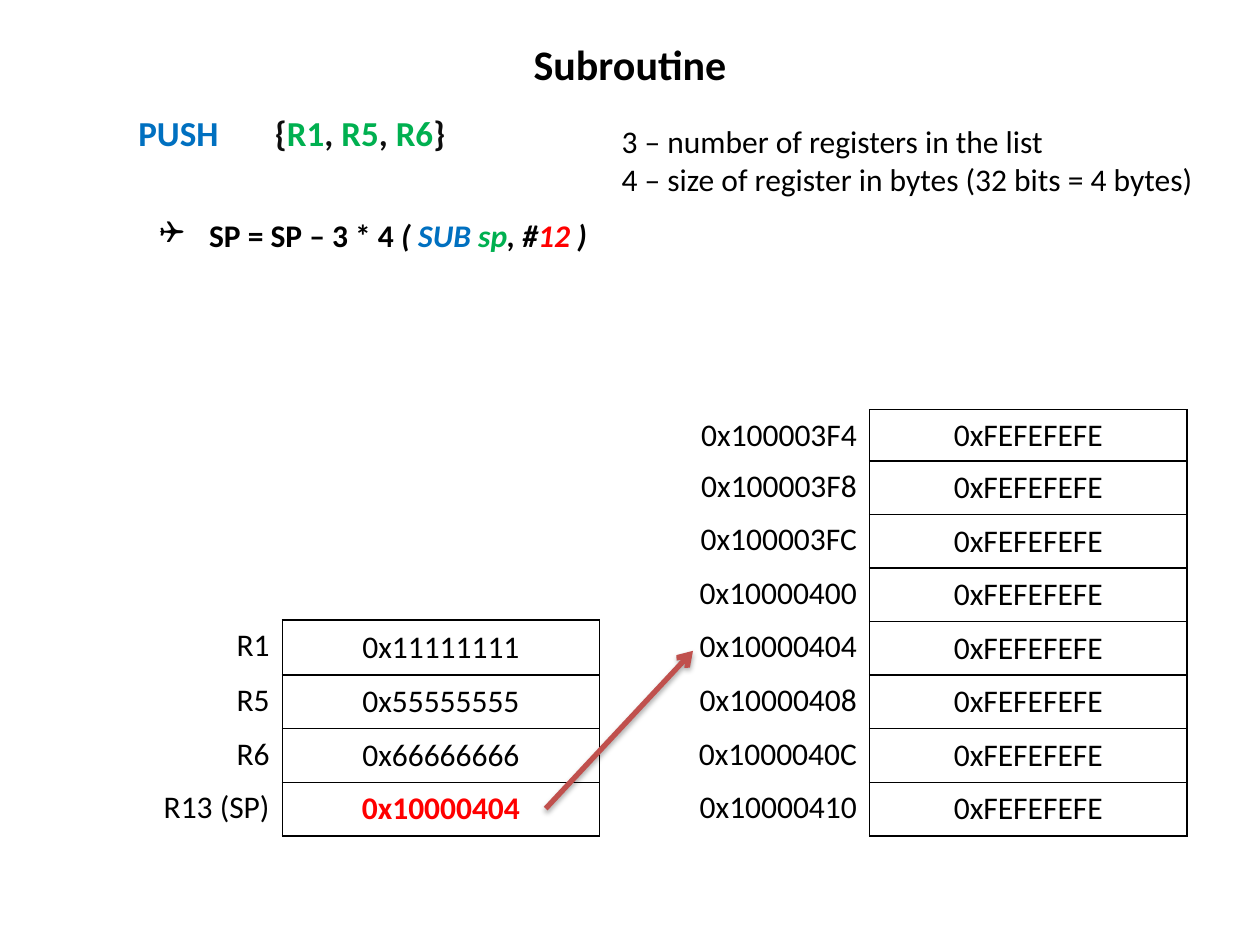
from lxml import etree
from pptx import Presentation
from pptx.dml.color import RGBColor
from pptx.enum import shapes, text
from pptx.oxml import parse_xml
from pptx.oxml.ns import nsdecls, qn
from pptx.util import Cm, Pt

COLORS = {"black": "000000", "ink": "0D0D0D", "blue": "0070C0",
          "green": "00B050", "red": "FF0000", "arrow": "C0504D"}
FONT = "Calibri"

TITLE = [[("Subroutine", "black", "b")]]
INSTRUCTION = [[("PUSH\t", "blue", "b"), ("{", "ink", "b"), ("R1", "green", "b"),
                (", ", "ink", "b"), ("R5", "green", "b"), (", ", "ink", "b"),
                ("R6", "green", "b"), ("}", "ink", "b")]]
STEPS = [[("SP = SP – 3 * 4 ", "black", "b"), ("( ", "black", "bi"),
          ("SUB ", "blue", "bi"), ("sp", "green", "bi"), (", #", "black", "bi"),
          ("12", "red", "bi"), (" )", "black", "bi")]]
NOTES = [[("3 – number of registers in the list", "black", "")],
         [("4 – size of register in bytes (32 bits = 4 bytes)", "black", "")]]
REGISTERS = [("R1", "0x11111111"), ("R5", "0x55555555"),
             ("R6", "0x66666666"), ("R13 (SP)", "0x10000404")]
ADDRESSES = ["0x100003F4", "0x100003F8", "0x100003FC", "0x10000400",
             "0x10000404", "0x10000408", "0x1000040C", "0x10000410"]
MEMORY = [(address, "0xFEFEFEFE") for address in ADDRESSES]

LABEL_WIDTH, VALUE_WIDTH, ROW_HEIGHT = 4, 6.4, 1.08
TABLES_BOTTOM = 16.85


def rgb(name):
    return RGBColor.from_string(COLORS[name])


def write(frame, paragraphs, size=18, align=text.PP_ALIGN.LEFT, bullet=None,
          indent=1, tab=None):
    for number, runs in enumerate(paragraphs):
        line = frame.add_paragraph() if number else frame.paragraphs[0]
        properties = line._p.get_or_add_pPr()
        if bullet:
            properties.set("marL", str(Cm(indent)))
            properties.set("indent", str(-Cm(indent)))
            etree.SubElement(properties, qn("a:buFont"), typeface="Wingdings")
            etree.SubElement(properties, qn("a:buChar"), char=bullet)
        if tab:
            stops = etree.SubElement(properties, qn("a:tabLst"))
            etree.SubElement(stops, qn("a:tab"), pos=str(Cm(tab)), algn="l")
        line.alignment = align
        line.space_before = Pt(0)
        for words, color, style in runs:
            run = line.add_run()
            run.text = words
            run.font.name, run.font.size = FONT, Pt(size)
            run.font.bold, run.font.italic = "b" in style, "i" in style
            run.font.color.rgb = rgb(color)


def place(shape, left, top, width, height, wrap=True):
    shape.left, shape.top = Cm(left), Cm(top)
    shape.width, shape.height = Cm(width), Cm(height)
    shape.text_frame.word_wrap = wrap
    shape.text_frame.auto_size = text.MSO_AUTO_SIZE.NONE
    return shape.text_frame


def border(cell, sides):
    for side in sides:
        cell._tc.get_or_add_tcPr().append(parse_xml(
            f'<a:ln{side} {nsdecls("a")} w="12700"><a:solidFill>'
            f'<a:srgbClr val="{COLORS["black"]}"/></a:solidFill></a:ln{side}>'))


def add_cells(slide, rows, left, first_height, highlight=None):
    height = first_height + ROW_HEIGHT * (len(rows) - 1)
    table = slide.shapes.add_table(
        len(rows), 2, Cm(left), Cm(TABLES_BOTTOM - height),
        Cm(LABEL_WIDTH + VALUE_WIDTH), Cm(height)).table
    table.first_row = table.horz_banding = False
    table.columns[0].width, table.columns[1].width = Cm(LABEL_WIDTH), Cm(VALUE_WIDTH)
    for number, (label, value) in enumerate(rows):
        table.rows[number].height = Cm(ROW_HEIGHT if number else first_height)
        label_cell, value_cell = table.cell(number, 0), table.cell(number, 1)
        border(label_cell, "R")
        border(value_cell, "LRTB")
        label_cell.fill.background()
        value_cell.fill.background()
        value_cell.vertical_anchor = text.MSO_ANCHOR.MIDDLE
        look = ("red", "b") if label == highlight else ("black", "")
        write(label_cell.text_frame, [[(label, "black", "")]], align=text.PP_ALIGN.RIGHT)
        write(value_cell.text_frame, [[(value, *look)]], align=text.PP_ALIGN.CENTER)


def add_pointer(slide, start, end):
    pointer = slide.shapes.add_connector(
        shapes.MSO_CONNECTOR.STRAIGHT, *map(Cm, start + end))
    pointer.line.color.rgb = rgb("arrow")
    pointer.line.width = Pt(3)
    etree.SubElement(pointer.line._get_or_add_ln(), qn("a:tailEnd"), type="arrow")
    pointer._element.spPr.append(parse_xml(
        f'<a:effectLst {nsdecls("a")}><a:outerShdw blurRad="{Pt(3.1)}" '
        f'dist="{Pt(1.8)}" dir="5400000" rotWithShape="0">'
        f'<a:srgbClr val="{COLORS["black"]}"><a:alpha val="35000"/></a:srgbClr>'
        '</a:outerShdw></a:effectLst>'))


def main():
    deck = Presentation()
    deck.slide_width, deck.slide_height = Cm(25.4), Cm(19.05)
    slide = deck.slides.add_slide(deck.slide_layouts[1])
    title, steps = slide.placeholders
    instruction = slide.shapes.add_textbox(0, 0, 0, 0)
    notes = slide.shapes.add_textbox(0, 0, 0, 0)

    write(place(title, 0, 0.64, 25.4, 1.27), TITLE, size=24, align=text.PP_ALIGN.CENTER)
    write(place(instruction, 2.54, 2.12, 7.2, 1.12), INSTRUCTION, size=20, tab=2.75)
    write(place(steps, 2.96, 4.23, 9.25, 1.8, wrap=False), STEPS, bullet="❑")
    write(place(notes, 12.28, 2.33, 12.17, 1.8, wrap=False), NOTES)

    add_cells(slide, REGISTERS, 1.69, 1.11, highlight="R13 (SP)")
    add_cells(slide, MEMORY, 13.53, 1.03)
    add_pointer(slide, (11, 16.3), (13.97, 13.12))
    deck.save("out.pptx")


if __name__ == "__main__":
    main()
